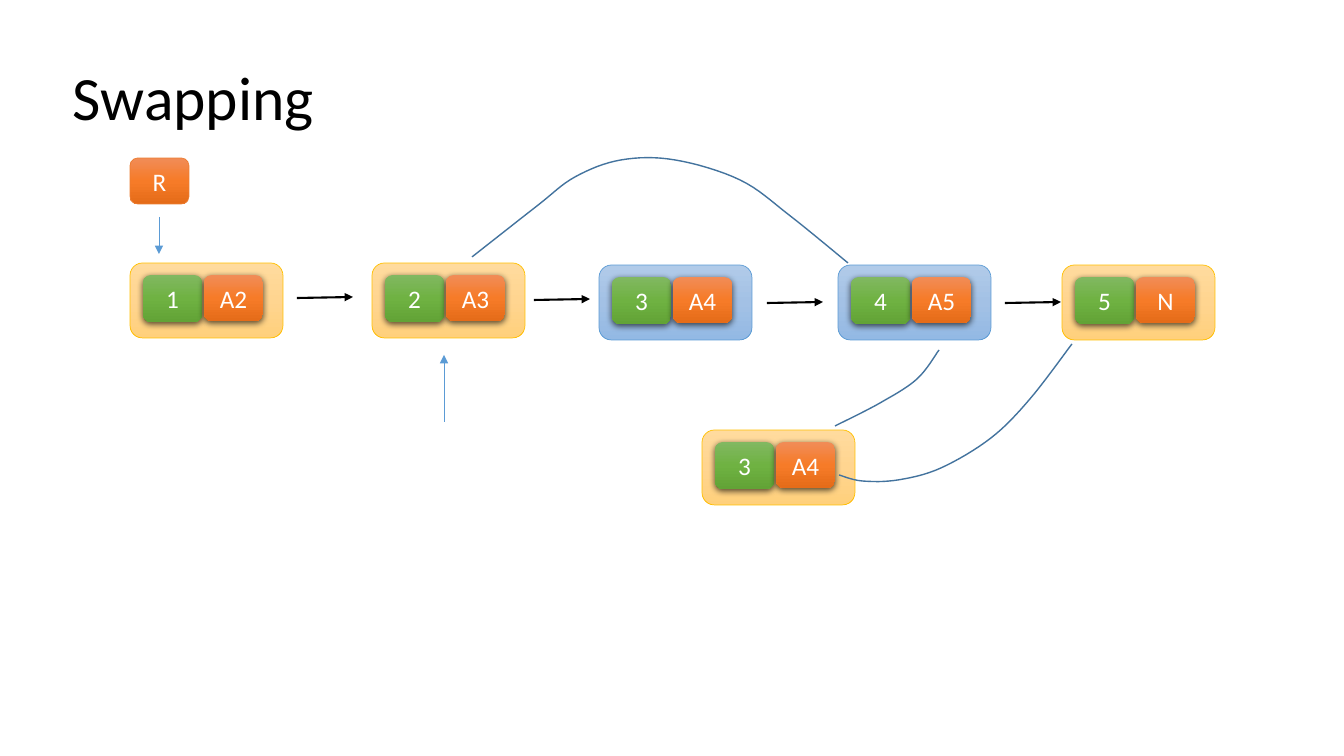
import copy

import lxml.etree
import pptx
import pptx.dml.color
import pptx.enum.shapes
import pptx.enum.text
import pptx.oxml
import pptx.oxml.ns
import pptx.util

RGB = pptx.dml.color.RGBColor
BLACK, WHITE = RGB(0, 0, 0), RGB(255, 255, 255)
GOLD_LINE = RGB(0xFF, 0xC0, 0x00)
BLUE_LINE = RGB(0x5B, 0x9B, 0xD5)
ORANGE_LINE = RGB(0xED, 0x7D, 0x31)
ROUTE_LINE = RGB(0x43, 0x73, 0x9E)
# Gradients, from top to bottom
GOLD = (RGB(0xFF, 0xDB, 0x9E), RGB(0xFF, 0xD5, 0x90), RGB(0xFF, 0xD0, 0x7C))
BLUE = (RGB(0xB1, 0xCB, 0xE9), RGB(0xA3, 0xC1, 0xE5), RGB(0x93, 0xB9, 0xE4))
GREEN = (RGB(0x81, 0xB8, 0x61), RGB(0x6F, 0xB2, 0x42), RGB(0x62, 0xA3, 0x36))
ORANGE = (RGB(0xF1, 0x8C, 0x57), RGB(0xF6, 0x7B, 0x28), RGB(0xE5, 0x6C, 0x19))

# Content: lengths in px
TITLE = "Swapping"
ROOT = "R"
KEPT, SWAPPED = (GOLD, GOLD_LINE), (BLUE, BLUE_LINE)
NODES = [  # left, top, value, next address, style
    (130, 263, "1", "A2", KEPT),
    (372, 263, "2", "A3", KEPT),
    (599, 265, "3", "A4", SWAPPED),
    (838, 265, "4", "A5", SWAPPED),
    (1062, 265, "5", "N", KEPT),
    (702, 430, "3", "A4", KEPT),
]
LINK_STARTS = [(297, 298), (534, 300), (767, 303), (1005, 303)]
POINTERS = [  # x, start y, end y
    (159, 217, 254),
    (444, 422, 355),
]
ROUTES = {  # a smooth curve passes through these few points
    "node 2 to node 4": [(472, 257), (537, 206), (575, 177), (621, 160),
                         (675, 160), (740, 180), (789, 215), (848, 263)],
    "moved node 3 to node 5": [(839, 475), (862, 481), (898, 480), (941, 468),
                               (991, 438), (1030, 399), (1072, 344)],
    "node 4 to moved node 3": [(939, 350), (917, 379), (880, 403), (835, 426)],
}

# Geometry
PX = 914400 / 100.8
NODE_SIZE = (153, 75)
VALUE_SIZE = (59, 47)
ADDRESS_SIZE = (59, 46)
VALUE_INSET, ADDRESS_INSET, TOP_INSET = 13, 74, 12
LINK_RUN, LINK_RISE = 56, 1
STEPS_PER_SPAN = 8

SHADOW = (
    '<a:effectLst %s><a:outerShdw blurRad="57150" dist="19050" dir="5400000" '
    'algn="ctr" rotWithShape="0"><a:srgbClr val="000000"><a:alpha val="63000"/>'
    '</a:srgbClr></a:outerShdw></a:effectLst>' % pptx.oxml.ns.nsdecls("a"))


def emu(*lengths):
    return [round(length * PX) for length in lengths]


def add_span(para, text, size, colour):
    span = para.add_run()
    span.text = text
    span.font.name = "Calibri"
    span.font.size = pptx.util.Pt(size)
    span.font.color.rgb = colour


def fill_gradient(shape, colours):
    shape.fill.gradient()
    shape.fill.gradient_angle = 270
    stop_list = shape._element.spPr.find(".//" + pptx.oxml.ns.qn("a:gsLst"))
    stop_list.insert(1, copy.deepcopy(stop_list[0]))
    for stop, colour, position in zip(shape.fill.gradient_stops, colours, (0, 0.5, 1)):
        stop.color.rgb = colour
        stop.position = position


def set_line(shape, colour, width):
    shape.line.color.rgb = colour
    shape.line.width = pptx.util.Pt(width)


def add_box(page, left, top, size, colours, outline=None, text=None):
    box = page.shapes.add_shape(
        pptx.enum.shapes.MSO_SHAPE.ROUNDED_RECTANGLE, *emu(left, top, *size))
    box.shadow.inherit = False
    fill_gradient(box, colours)
    if outline is None:
        box.line.fill.background()
    else:
        set_line(box, outline, 0.5)
    if text:
        box.text_frame.vertical_anchor = pptx.enum.text.MSO_ANCHOR.MIDDLE
        para = box.text_frame.paragraphs[0]
        para.alignment = pptx.enum.text.PP_ALIGN.CENTER
        add_span(para, text, 18, WHITE)
    return box


def add_node(page, left, top, value, address, style):
    add_box(page, left, top, NODE_SIZE, *style)
    cells = [(VALUE_INSET, VALUE_SIZE, GREEN, value),
             (ADDRESS_INSET, ADDRESS_SIZE, ORANGE, address)]
    for inset, size, colours, text in cells:
        cell = add_box(page, left + inset, top + TOP_INSET, size, colours, text=text)
        properties = cell._element.spPr
        properties.replace(properties.find(pptx.oxml.ns.qn("a:effectLst")),
                           pptx.oxml.parse_xml(SHADOW))


def add_arrow(page, ends, colour, width):
    arrow = page.shapes.add_connector(
        pptx.enum.shapes.MSO_CONNECTOR.STRAIGHT, *emu(*ends))
    set_line(arrow, colour, width)
    lxml.etree.SubElement(arrow.line._get_or_add_ln(),
                          pptx.oxml.ns.qn("a:tailEnd"), type="triangle")
    lxml.etree.SubElement(arrow._element.spPr, pptx.oxml.ns.qn("a:effectLst"))


def blend(before, start, end, after, t):
    """Catmull-Rom value between start and end, for t from 0 to 1."""
    return start + t / 2 * (
        end - before
        + t * (2 * before - 5 * start + 4 * end - after)
        + t * t * (3 * (start - end) + after - before))


def smooth(anchors):
    """Points along a smooth curve through all anchors."""
    padded = [anchors[0], *anchors, anchors[-1]]
    points = [anchors[0]]
    for quad in zip(padded, padded[1:], padded[2:], padded[3:]):
        xs, ys = zip(*quad)
        for step in range(1, STEPS_PER_SPAN + 1):
            t = step / STEPS_PER_SPAN
            points.append((blend(*xs, t), blend(*ys, t)))
    return points


def add_route(page, anchors):
    start, *rest = [emu(*point) for point in smooth(anchors)]
    builder = page.shapes.build_freeform(*start)
    builder.add_line_segments(rest, close=False)
    route = builder.convert_to_shape()
    route.shadow.inherit = False
    route.fill.background()
    set_line(route, ROUTE_LINE, 1)


def main():
    deck = pptx.Presentation()
    deck.slide_width, deck.slide_height = emu(1344, 756)
    page = deck.slides.add_slide(deck.slide_layouts[6])

    # Title
    title = page.shapes.add_textbox(*emu(63, 28, 1159, 146)).text_frame
    title.word_wrap = True
    title.vertical_anchor = pptx.enum.text.MSO_ANCHOR.MIDDLE
    title.paragraphs[0].line_spacing = 0.9
    add_span(title.paragraphs[0], TITLE, 44, BLACK)

    # Root and list nodes
    add_box(page, 130, 158, ADDRESS_SIZE, ORANGE, ORANGE_LINE, ROOT)
    for node in NODES:
        add_node(page, *node)

    # Links, pointers and new routes
    for x, y in LINK_STARTS:
        add_arrow(page, (x, y, x + LINK_RUN, y - LINK_RISE), BLACK, 1.5)
    for x, start, end in POINTERS:
        add_arrow(page, (x, start, x, end), BLUE_LINE, 0.5)
    for anchors in ROUTES.values():
        add_route(page, anchors)

    deck.save("out.pptx")


if __name__ == "__main__":
    main()
